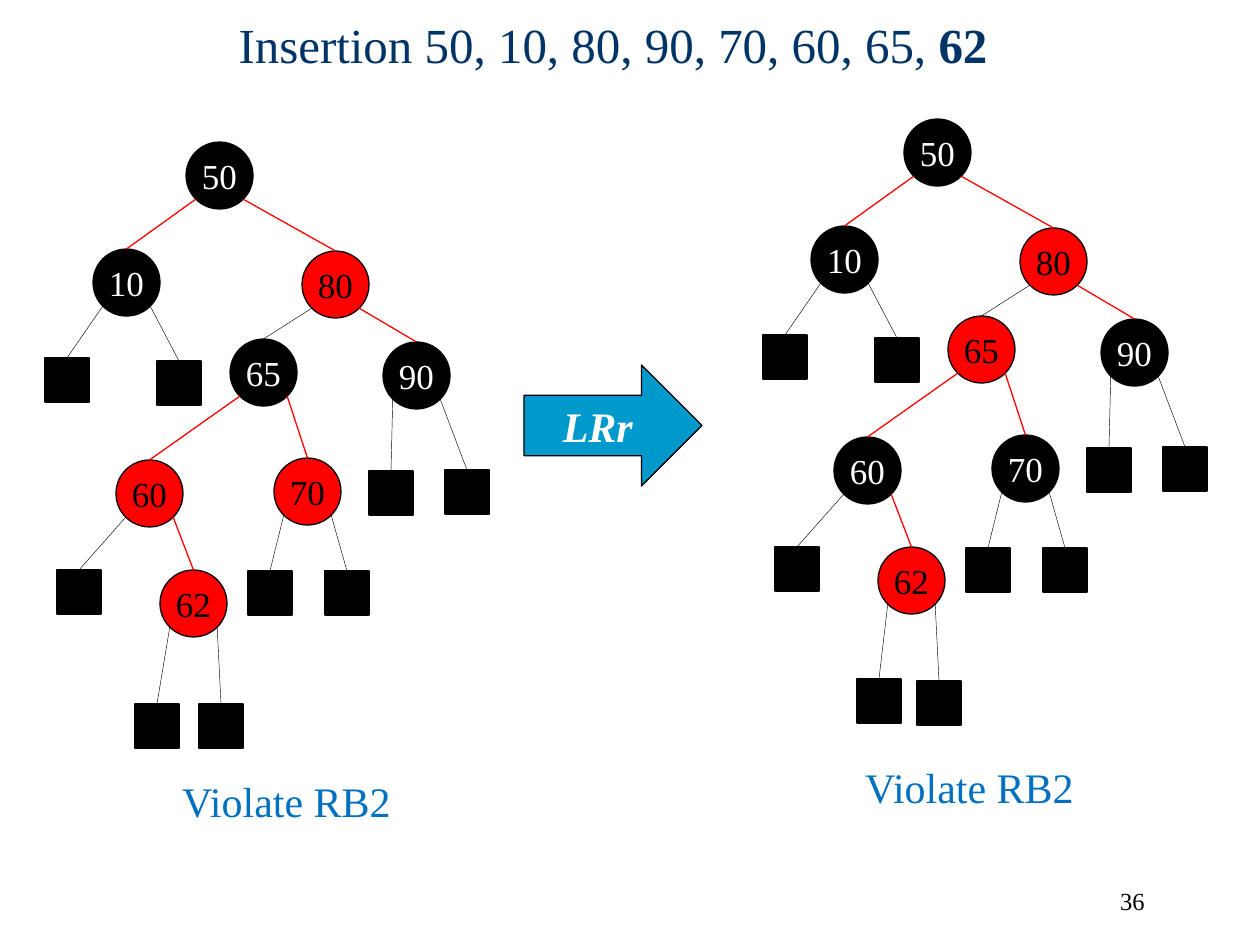
from lxml.etree import SubElement
from pptx import Presentation
from pptx.dml.color import RGBColor
from pptx.enum.shapes import MSO_CONNECTOR as Connector, MSO_SHAPE as Shape
from pptx.enum.text import MSO_ANCHOR as Anchor, MSO_AUTO_SIZE as AutoSize, PP_ALIGN as Align
from pptx.oxml.ns import qn
from pptx.util import Pt

EMU_PER_PX = 914400 / 126
COLORS = {"black": "000000", "red": "FF0000", "white": "FFFFFF",
          "title": "003366", "arrow": "0099CC", "caption": "0070C0"}
FONT = "Times New Roman"
NODE, LEAF = 67, 44
RIM = 0.146  # where the diagonals of a node's box cross its circle

# key: (left, top) in the tree's box; a node is two digits, a leaf adds L or R
PLACES = {
    "50": (141, 0), "10": (48, 107), "80": (257, 109), "65": (185, 197),
    "90": (338, 200), "60": (71, 318), "70": (229, 316), "62": (115, 428),
    "10L": (0, 216), "10R": (112, 219), "60L": (12, 428),
    "90L": (324, 329), "90R": (400, 328), "70L": (203, 429), "70R": (280, 429),
    "62L": (90, 562), "62R": (154, 562),
}
# child: (parent, side, edge color)
EDGES = {
    "10": ("50", "L", "red"), "80": ("50", "R", "red"),
    "65": ("80", "L", "black"), "90": ("80", "R", "red"),
    "60": ("65", "L", "red"), "70": ("65", "R", "red"),
    "62": ("60", "R", "red"),
}


def px(*lengths):
    return [round(length * EMU_PER_PX) for length in lengths]


def rgb(name):
    return RGBColor.from_string(COLORS[name])


def write(paragraph, text, color, align=Align.CENTER, **font_format):
    paragraph.alignment = align
    run = paragraph.add_run()
    run.text = text
    run.font.color.rgb = rgb(color)
    for attribute, value in {"name": FONT, **font_format}.items():
        setattr(run.font, attribute, value)


def add_filled(shapes, preset, box, fill):
    filled = shapes.add_shape(preset, *px(*box))
    filled.shadow.inherit = False
    filled.fill.solid()
    filled.fill.fore_color.rgb = rgb(fill)
    filled.line.color.rgb = rgb("black")
    filled.line.width = Pt(0.75)
    filled.text_frame.word_wrap = False
    filled.text_frame.vertical_anchor = Anchor.MIDDLE
    return filled


def add_edge(shapes, child, parent, side, color):
    """Join the child's top to the lower left or right of the parent's rim."""
    across = RIM if side == "L" else 1 - RIM
    end_x = round(parent.left + across * parent.width)
    end_y = round(parent.top + (1 - RIM) * parent.height)
    edge = shapes.add_connector(Connector.STRAIGHT, child.left, child.top, end_x, end_y)
    edge.begin_connect(child, 0)
    edge.line.color.rgb = rgb(color)
    edge.line.width = Pt(0.75 if color == "red" else 0.25)
    SubElement(edge._element.spPr, qn("a:effectLst"))


def add_tree(slide, left, top, red_nodes, moved=None):
    """Draw the tree; moved holds the places that differ from PLACES."""
    shapes = slide.shapes.add_group_shape().shapes
    nodes = {}
    for key, (x, y) in {**PLACES, **(moved or {})}.items():
        if len(key) == 3:
            part = add_filled(shapes, Shape.RECTANGLE, (left + x, top + y, LEAF, LEAF), "black")
            add_edge(shapes, part, nodes[key[:2]], key[2], "black")
            continue
        is_red = key in red_nodes
        part = add_filled(shapes, Shape.OVAL, (left + x, top + y, NODE, NODE),
                          "red" if is_red else "black")
        write(part.text_frame.paragraphs[0], key, "black" if is_red else "white", size=Pt(20))
        nodes[key] = part
        if key in EDGES:
            parent, side, color = EDGES[key]
            add_edge(shapes, part, nodes[parent], side, color)


def add_title(slide, box):
    title = slide.shapes.title
    title.left, title.top, title.width, title.height = px(*box)
    title.text_frame.vertical_anchor = Anchor.MIDDLE
    heading = title.text_frame.paragraphs[0]
    write(heading, "Insertion 50, 10, 80, 90, 70, 60, 65, ", "title", size=Pt(28))
    write(heading, "62", "title", size=Pt(28), bold=True)


def add_label(slide, box, text, color, size, align=Align.CENTER):
    frame = slide.shapes.add_textbox(*px(*box)).text_frame
    frame.word_wrap = True
    frame.auto_size = AutoSize.SHAPE_TO_FIT_TEXT
    write(frame.paragraphs[0], text, color, align, size=Pt(size))


def add_rotation_arrow(slide, box):
    arrow = add_filled(slide.shapes, Shape.RIGHT_ARROW, box, "arrow")
    write(arrow.text_frame.paragraphs[0], "LRr", "white", size=Pt(24), bold=True, italic=True)


def main():
    deck = Presentation()
    deck.slide_width, deck.slide_height = px(1260, 945)
    slide = deck.slides.add_slide(deck.slide_layouts[5])
    add_title(slide, (43, -35, 1140, 157))
    add_rotation_arrow(slide, (524, 365, 178, 121))
    add_tree(slide, 45, 142, {"80", "60", "70", "62"})
    add_tree(slide, 763, 119, {"80", "65", "62"}, moved={"62L": (94, 560)})
    add_label(slide, (165, 769, 243, 63), "Violate RB2", "caption", 24)
    add_label(slide, (848, 755, 243, 63), "Violate RB2", "caption", 24)
    add_label(slide, (895, 880, 262, 63), "36", "black", 14, Align.RIGHT)
    deck.save("out.pptx")


if __name__ == "__main__":
    main()
